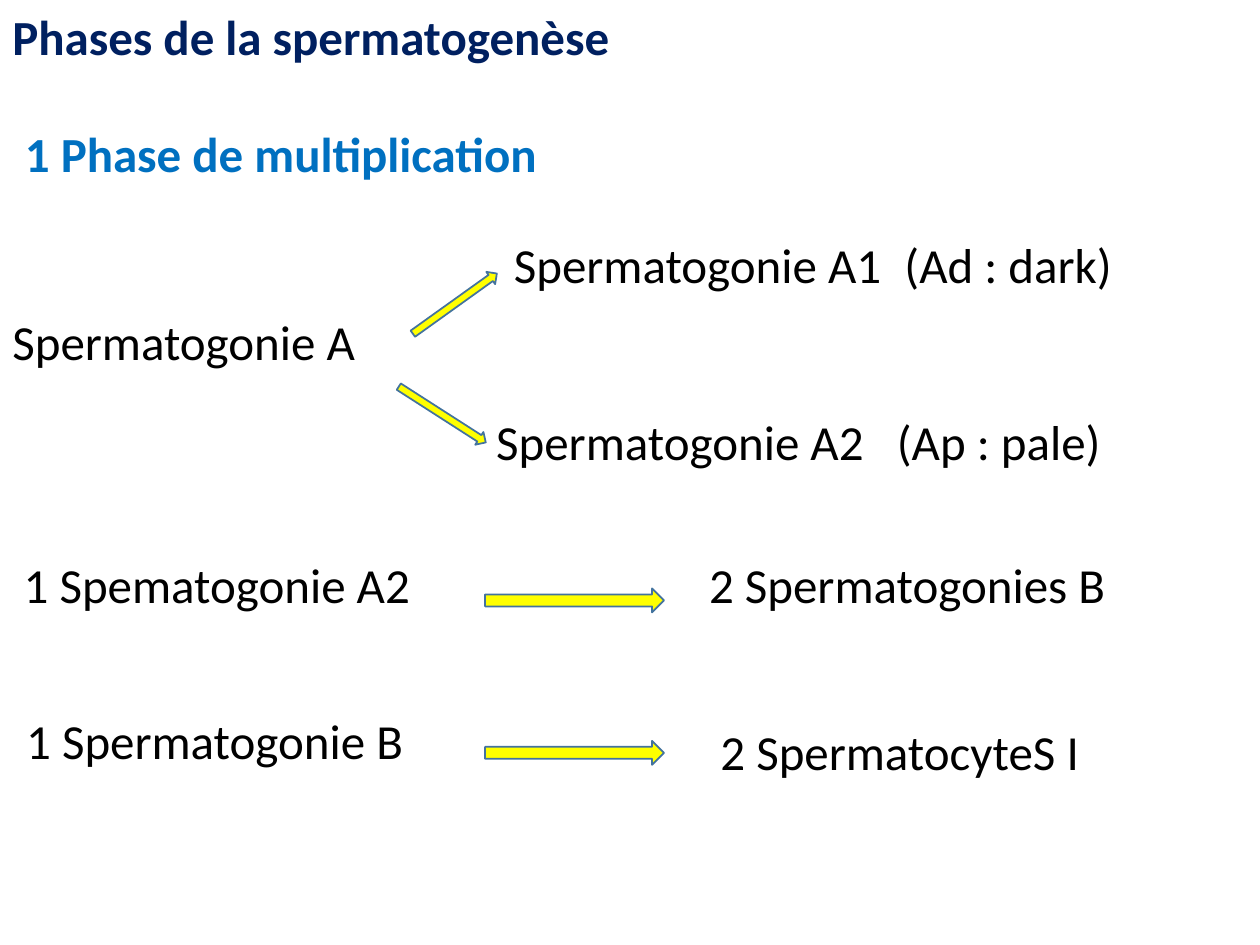
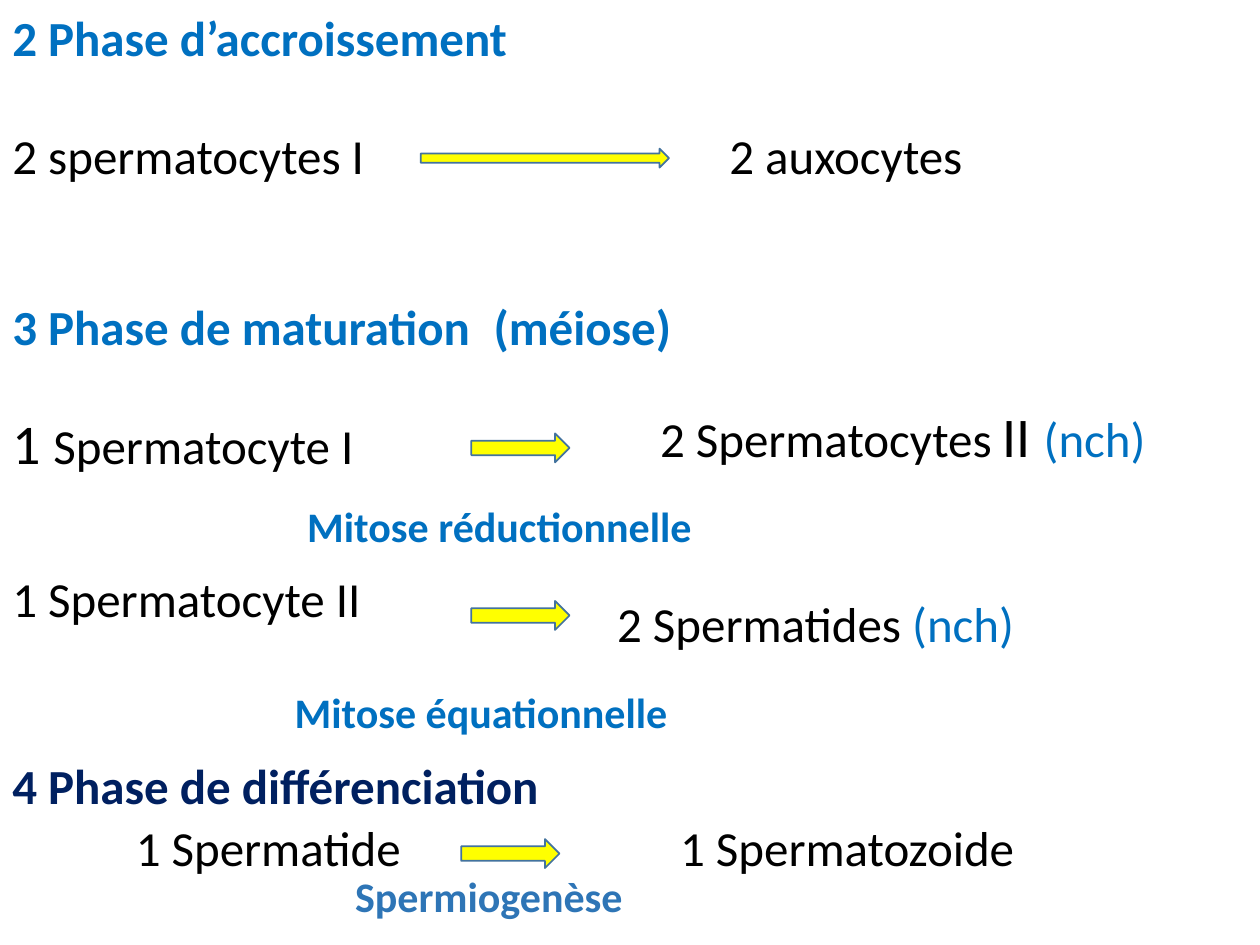
from dataclasses import dataclass

import pptx
import pptx.dml.color
import pptx.enum.shapes
import pptx.enum.text
import pptx.oxml.ns
import pptx.util
from lxml import etree

Inches = pptx.util.Inches


@dataclass(frozen=True)
class Theme:
    font: str = "Calibri"
    ink: str = "000000"
    navy: str = "002060"
    blue: str = "0070C0"
    steel: str = "2E75B6"
    arrow_fill: str = "FFFF00"
    arrow_line: str = "43739E"
    large: int = 32
    body: int = 28
    caption: int = 24


THEME = Theme()


def rgb(value):
    return pptx.dml.color.RGBColor.from_string(value)


class Deck:
    """Holds the theme, the presentation and the current slide."""

    def __init__(self, theme):
        self.theme = theme
        self.presentation = pptx.Presentation()
        self.presentation.slide_width = Inches(10)
        self.presentation.slide_height = Inches(7.5)
        self.slide = None

    def new_slide(self):
        blank = self.presentation.slide_layouts[6]
        self.slide = self.presentation.slides.add_slide(blank)

    def text(self, left, top, width, *runs, size=None, color=None, bold=False, tab=None):
        """Add one line; a run is a string or a (string, size, color) tuple."""
        size, color = size or self.theme.body, color or self.theme.ink
        runs = [(run, size, color) if isinstance(run, str) else run for run in runs]
        height = max(run[1] for run in runs) / 60 + 0.1
        box = self.slide.shapes.add_textbox(
            Inches(left), Inches(top), Inches(width), Inches(height))
        box.text_frame.word_wrap = True
        line = box.text_frame.paragraphs[0]
        if tab:
            qn = pptx.oxml.ns.qn
            stops = etree.SubElement(line._p.get_or_add_pPr(), qn("a:tabLst"))
            etree.SubElement(stops, qn("a:tab"), pos=str(Inches(tab)), algn="l")
        for words, run_size, run_color in runs:
            run = line.add_run()
            run.text = words
            run.font.name = self.theme.font
            run.font.size = pptx.util.Pt(run_size)
            run.font.bold = bold
            run.font.color.rgb = rgb(run_color)

    def heading(self, left, top, words, color=None, tab=None):
        self.text(left, top, 6, words, color=color or self.theme.blue, bold=True, tab=tab)

    def caption(self, left, top, words, color=None):
        self.text(left, top, 3.5, words, size=self.theme.caption,
                  color=color or self.theme.blue, bold=True)

    def arrow(self, left, top, width, height, rotation=0):
        arrow = self.slide.shapes.add_shape(
            pptx.enum.shapes.MSO_SHAPE.RIGHT_ARROW,
            Inches(left), Inches(top), Inches(width), Inches(height))
        arrow.rotation = rotation
        arrow.shadow.inherit = False
        arrow.fill.solid()
        arrow.fill.fore_color.rgb = rgb(self.theme.arrow_fill)
        arrow.line.color.rgb = rgb(self.theme.arrow_line)
        arrow.line.width = pptx.util.Pt(1)


def multiplication(deck):
    deck.new_slide()
    deck.heading(0, 0, "Phases de la spermatogenèse", color=deck.theme.navy)
    deck.heading(0.1, 0.93, "1 Phase de multiplication")

    # Spermatogonia A splits into two kinds
    deck.text(0, 2.42, 3.2, "Spermatogonie A")
    deck.text(3.98, 1.81, 5.6, "Spermatogonie A1\t(Ad : dark)", tab=3.1)
    deck.text(3.84, 3.22, 5.6, "Spermatogonie A2\t(Ap : pale)", tab=3.18)
    deck.arrow(3.2, 2.35, 0.82, 0.12, rotation=324.4)
    deck.arrow(3.1, 3.23, 0.82, 0.12, rotation=32.7)

    # Later divisions
    deck.text(0.09, 4.35, 3.6, "1 Spematogonie A2")
    deck.text(5.53, 4.35, 3.8, "2 Spermatogonies B")
    deck.text(0.11, 5.59, 3.6, "1 Spermatogonie B")
    deck.text(5.62, 5.68, 3.8, "2 SpermatocyteS I")
    for top in (4.67, 5.88):
        deck.arrow(3.85, top, 1.42, 0.19)


def growth_to_differentiation(deck):
    theme = deck.theme
    chromosomes = ("(nch)", theme.body, theme.blue)
    deck.new_slide()

    # Growth
    deck.heading(0, 0.01, "2 Phase d’accroissement")
    deck.text(0, 0.95, 3.3, "2 spermatocytes I")
    deck.text(5.69, 0.95, 3, "2 auxocytes")
    deck.arrow(3.34, 1.18, 1.97, 0.15)

    # Maturation
    deck.heading(0, 2.3, "3 Phase de maturation\t(méiose)", tab=3.82)
    deck.text(0, 3.19, 3.3, ("1 ", theme.large, theme.ink), "Spermatocyte I")
    deck.text(5.14, 3.14, 4.5, "2 Spermatocytes ",
              ("II ", theme.large, theme.ink), chromosomes)
    deck.caption(2.34, 3.92, "Mitose réductionnelle")
    deck.text(0, 4.46, 3.3, "1 Spermatocyte II")
    deck.text(4.8, 4.66, 4, "2 Spermatides ", chromosomes)
    deck.caption(2.24, 5.4, "Mitose équationnelle")

    # Differentiation
    deck.heading(0, 5.95, "4 Phase de différenciation", color=theme.navy)
    deck.text(0.98, 6.44, 2.6, "1 Spermatide")
    deck.text(5.3, 6.44, 3.3, "1 Spermatozoide")
    deck.caption(2.72, 6.86, "Spermiogenèse", color=theme.steel)

    # Short arrows of the last two phases
    for left, top in ((3.74, 3.44), (3.74, 4.77), (3.66, 6.66)):
        deck.arrow(left, top, 0.78, 0.23)


def main():
    deck = Deck(THEME)
    multiplication(deck)
    growth_to_differentiation(deck)
    deck.presentation.save("out.pptx")


if __name__ == "__main__":
    main()
